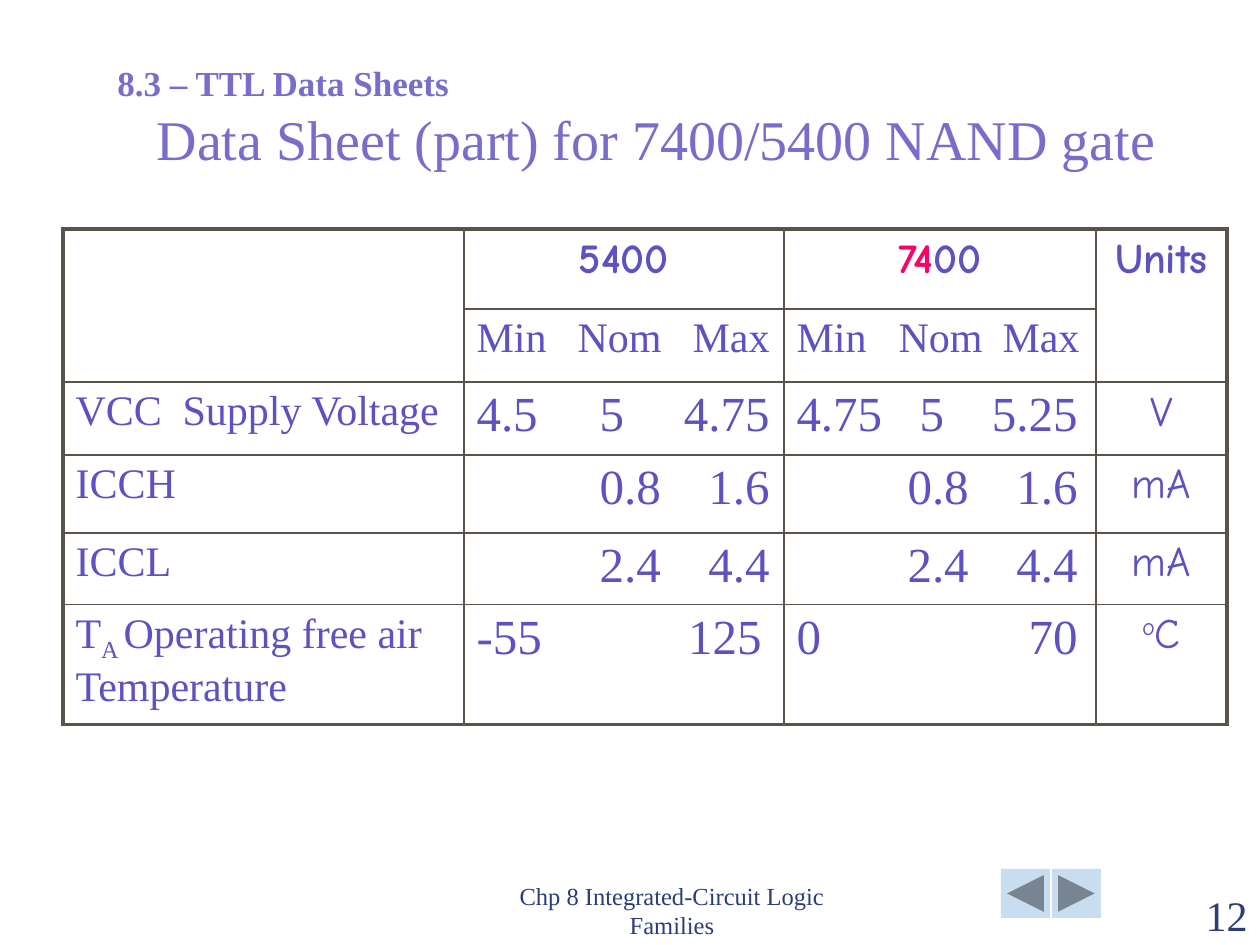
from lxml import etree
from pptx import Presentation
from pptx.dml.color import RGBColor
from pptx.enum.shapes import MSO_SHAPE
from pptx.enum.text import MSO_ANCHOR, MSO_AUTO_SIZE, PP_ALIGN
from pptx.oxml.ns import qn
from pptx.util import Pt

EMU_PER_PX = 914400 / 126
LEFT, CENTER, RIGHT = PP_ALIGN.LEFT, PP_ALIGN.CENTER, PP_ALIGN.RIGHT
BOTTOM, TOP = MSO_ANCHOR.BOTTOM, MSO_ANCHOR.TOP
BACK = MSO_SHAPE.ACTION_BUTTON_BACK_OR_PREVIOUS
FORWARD = MSO_SHAPE.ACTION_BUTTON_FORWARD_OR_NEXT
SERIF, COMIC = "Times New Roman", "Comic Neue"
COLORS = {
    "title": "786DCB", "body": "5E51C1", "accent": "FF0066",
    "footer": "2A3D7A", "border": "5B5249", "button": "C9DDF1",
}

LABEL = {"name": SERIF, "size": Pt(24), "color": "body"}
VALUE = {**LABEL, "size": Pt(28)}
UNIT = {**LABEL, "name": COMIC}
HEADING = {**UNIT, "bold": True}
FOOTER = {"name": SERIF, "size": Pt(14), "color": "footer"}

COLUMN_WIDTHS = [401, 320, 312, 131]
ROW_HEIGHTS = [80, 73, 73, 78, 71, 112]
LABEL_TABS = [(107, "l")]
# Tab stops of the Nom and Max entries, from the left edge of the cell text
HEADER_TABS = [[(101, "l"), (293, "r")], [(102, "l"), (283, "r")]]
VALUE_TABS = [[(123, "l"), (293, "r")], [(123, "l"), (281, "r")]]
CURRENT_TABS = [[(123, "l"), (293, "r")], [(111, "l"), (281, "r")]]
RANGE_TABS = [[(285, "r")], [(281, "r")]]

# Each row: label runs, 5400 text, 7400 text, tab stops, unit runs.
# A run is a text and its baseline shift in percent.
DATA_ROWS = [
    ([("VCC\tSupply Voltage", 0)], "4.5\t5\t4.75", "4.75\t5\t5.25",
     VALUE_TABS, [("V", 0)]),
    ([("ICCH", 0)], "\t0.8\t1.6", "\t0.8\t1.6", CURRENT_TABS, [("mA", 0)]),
    ([("ICCL", 0)], "\t2.4\t4.4", "\t2.4\t4.4", CURRENT_TABS, [("mA", 0)]),
    ([("T", 0), ("A ", -25), ("Operating free air Temperature", 0)],
     "-55\t125", "0\t70", RANGE_TABS, [("o", 30), ("C", 0)]),
]


def px(length):
    return round(length * EMU_PER_PX)


def box_emu(box):
    return [px(length) for length in box]


def rgb(name):
    return RGBColor.from_string(COLORS[name])


def add_run(paragraph, text, style, baseline=0):
    run = paragraph.add_run()
    run.text = text
    for attribute, value in style.items():
        if attribute == "color":
            run.font.color.rgb = rgb(value)
        else:
            setattr(run.font, attribute, value)
    if baseline:
        run._r.get_or_add_rPr().set("baseline", str(baseline * 1000))


def add_tabs(paragraph, tabs):
    tab_list = etree.SubElement(paragraph._p.get_or_add_pPr(), qn("a:tabLst"))
    for position, alignment in tabs:
        etree.SubElement(tab_list, qn("a:tab"), pos=str(px(position)), algn=alignment)


def add_text(slide, box, text, style, alignment=LEFT, anchor=BOTTOM):
    shape = slide.shapes.add_textbox(*box_emu(box))
    frame = shape.text_frame
    frame.word_wrap = True
    frame.vertical_anchor = anchor
    paragraph = frame.paragraphs[0]
    paragraph.alignment = alignment
    add_run(paragraph, text, style)
    return shape


def add_headings(slide, box):
    left, top, width, height = box
    section = add_text(slide, (left, top, 507, 54), "8.3 – TTL Data Sheets",
                       {"name": SERIF, "size": Pt(20), "color": "title", "bold": True},
                       anchor=TOP)
    section.text_frame.auto_size = MSO_AUTO_SIZE.SHAPE_TO_FIT_TEXT
    title = add_text(slide, (left + 16, top + height - 63, width - 16, 63),
                     "Data Sheet (part) for 7400/5400 NAND gate",
                     {"name": SERIF, "size": Pt(32), "color": "title"}, CENTER)
    title.text_frame.paragraphs[0].line_spacing = 0.7


def set_borders(cell, widths):
    """Draw the cell's edges; widths maps L, R, T and B to points."""
    properties = cell._tc.get_or_add_tcPr()
    for side, width in widths.items():
        line = etree.SubElement(properties, qn(f"a:ln{side}"), w=str(Pt(width)))
        fill = etree.SubElement(line, qn("a:solidFill"))
        etree.SubElement(fill, qn("a:srgbClr"), val=COLORS["border"])


def fill_cell(cell, runs, style, alignment=LEFT, tabs=()):
    paragraph = cell.text_frame.paragraphs[0]
    paragraph.alignment = alignment
    if tabs:
        add_tabs(paragraph, tabs)
    for text, baseline in runs:
        add_run(paragraph, text, style, baseline)


def fill_table_head(table):
    last = len(COLUMN_WIDTHS) - 1
    for column in (0, last):
        table.cell(0, column).merge(table.cell(1, column))
    fill_cell(table.cell(0, 1), [("5400", 0)], HEADING, CENTER)
    fill_cell(table.cell(0, 2), [("74", 0)], {**HEADING, "color": "accent"}, CENTER)
    add_run(table.cell(0, 2).text_frame.paragraphs[0], "00", HEADING)
    fill_cell(table.cell(0, last), [("Units", 0)], HEADING, CENTER)
    for column, tabs in enumerate(HEADER_TABS, start=1):
        fill_cell(table.cell(1, column), [("Min\tNom\tMax", 0)], LABEL, tabs=tabs)


def add_data_table(slide, left, top):
    row_count, column_count = len(ROW_HEIGHTS), len(COLUMN_WIDTHS)
    box = (left, top, sum(COLUMN_WIDTHS), sum(ROW_HEIGHTS))
    table = slide.shapes.add_table(row_count, column_count, *box_emu(box)).table
    table.first_row = table.horz_banding = False
    for column, width in zip(table.columns, COLUMN_WIDTHS):
        column.width = px(width)
    for row, height in zip(table.rows, ROW_HEIGHTS):
        row.height = px(height)

    for row in range(row_count):
        for column in range(column_count):
            cell = table.cell(row, column)
            outer = {"L": column == 0, "R": column == column_count - 1,
                     "T": row == 0, "B": row == row_count - 1}
            set_borders(cell, {side: 2.25 if edge else 1 for side, edge in outer.items()})
            cell.fill.background()

    fill_table_head(table)
    for row, (label, military, commercial, tabs, unit) in enumerate(DATA_ROWS, start=2):
        fill_cell(table.cell(row, 0), label, LABEL, tabs=LABEL_TABS)
        for column, text in enumerate((military, commercial), start=1):
            fill_cell(table.cell(row, column), [(text, 0)], VALUE, tabs=tabs[column - 1])
        fill_cell(table.cell(row, 3), unit, UNIT, CENTER)


def add_navigation(slide, left, top, size, gap):
    for index, kind in enumerate((BACK, FORWARD)):
        box = (left + index * (size + gap), top, size, size)
        button = slide.shapes.add_shape(kind, *box_emu(box))
        button.shadow.inherit = False
        button.fill.solid()
        button.fill.fore_color.rgb = rgb("button")
        button.line.fill.background()


def add_footer(slide, box):
    left, top, width, height = box
    add_text(slide, (left, top, 400, height),
             "Chp 8 Integrated-Circuit Logic Families", FOOTER, CENTER)
    add_text(slide, (left + width - 126, top, 126, height), "12",
             {**FOOTER, "size": Pt(24)}, RIGHT)


def main():
    presentation = Presentation()
    presentation.slide_width, presentation.slide_height = px(1260), px(945)
    slide = presentation.slides.add_slide(presentation.slide_layouts[6])
    add_navigation(slide, 1001, 869, size=49, gap=2)
    add_footer(slide, (472, 883, 788, 63))
    add_headings(slide, (105, 55, 1087, 121))
    add_data_table(slide, 63, 229)
    presentation.save("out.pptx")


if __name__ == "__main__":
    main()
